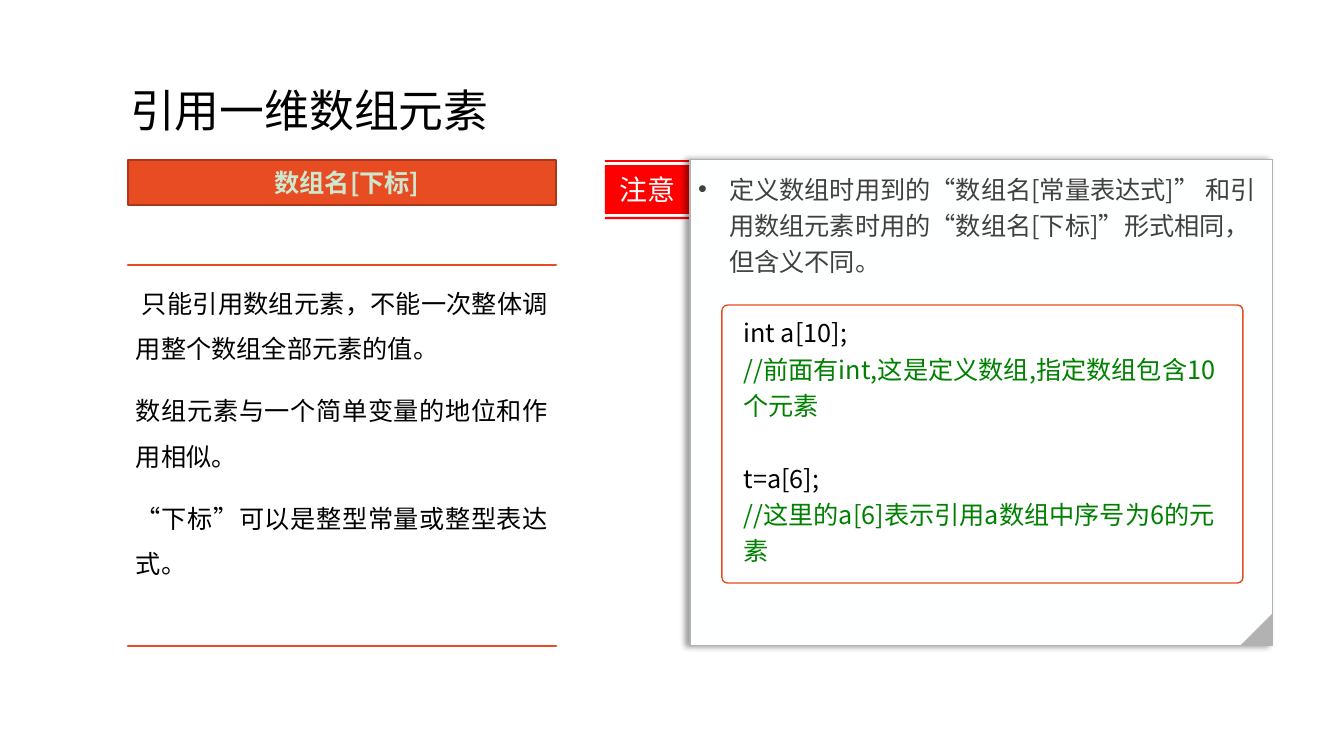
"""Build the slide on referencing one-dimensional array elements."""
from lxml import etree
from pptx import Presentation, util as u
from pptx.dml.color import RGBColor
from pptx.enum import shapes, text
from pptx.oxml import ns

PX = 914400 / 100.8
FONT = "Noto Sans CJK SC"
COLORS = {
    "page": "FFFFFF", "panel": "FEFFFF", "black": "000000", "body": "404040",
    "orange": "E84C22", "rust": "AC3819", "mint": "CCE8CF", "red": "FF0000",
    "grey": "B2B2B2", "green": "008000",
}
SHAPE = shapes.MSO_SHAPE
ALIGN = text.PP_ALIGN
ANCHOR = text.MSO_ANCHOR


def px(length):
    return u.Emu(round(length * PX))


def rgb(name):
    return RGBColor.from_string(COLORS[name])


def style(shape, fill=None, line=None, width=1):
    shape.shadow.inherit = False
    if fill:
        shape.fill.solid()
        shape.fill.fore_color.rgb = rgb(fill)
    else:
        shape.fill.background()
    if line:
        shape.line.color.rgb = rgb(line)
        shape.line.width = u.Pt(width)
    else:
        shape.line.fill.background()
    return shape


def add_box(page, kind, place, fill, line=None, width=1):
    box = page.shapes.add_shape(kind, *map(px, place))
    return style(box, fill, line, width)


def add_outline(page, contours):
    builder = None
    for start, *rest in contours:
        if builder is None:
            builder = page.shapes.build_freeform(*start, scale=PX)
        else:
            builder.move_to(*start)
        builder.add_line_segments(rest, close=True)
    return builder.convert_to_shape()


def set_frame(shape, insets=(10, 5, 10, 5), anchor=ANCHOR.TOP):
    frame = shape.text_frame
    frame.word_wrap = True
    frame.auto_size = text.MSO_AUTO_SIZE.NONE
    frame.vertical_anchor = anchor
    (frame.margin_left, frame.margin_top,
     frame.margin_right, frame.margin_bottom) = map(px, insets)
    return frame


def write(frame, lines, size, align=ALIGN.LEFT, spacing=1.0, before=0, after=0, bold=False):
    for index, (words, color) in enumerate(lines):
        para = frame.add_paragraph() if index else frame.paragraphs[0]
        para.alignment = align
        para.line_spacing = spacing
        para.space_before, para.space_after = u.Pt(before), u.Pt(after)
        span = para.add_run()
        span.text = words
        span.font.name = FONT
        span.font.size = u.Pt(size)
        span.font.bold = bold
        span.font.color.rgb = rgb(color)
        east = etree.SubElement(span.font._element, ns.qn("a:ea"))
        east.set("typeface", FONT)
    return frame.paragraphs


def add_bullet(para, indent):
    props = para._p.get_or_add_pPr()
    props.set("marL", str(px(indent)))
    props.set("indent", str(-px(indent)))
    etree.SubElement(props, ns.qn("a:buFont")).set("typeface", "Arial")
    etree.SubElement(props, ns.qn("a:buChar")).set("char", "•")


def add_shadow(shape, blur, distance, angle, opacity):
    effects = shape._element.spPr.find(ns.qn("a:effectLst"))
    shadow = etree.SubElement(
        effects, ns.qn("a:outerShdw"), blurRad=str(u.Pt(blur)),
        dist=str(u.Pt(distance)), dir=str(angle * 60000), rotWithShape="0")
    color = etree.SubElement(shadow, ns.qn("a:srgbClr"), val=COLORS["black"])
    etree.SubElement(color, ns.qn("a:alpha"), val=str(opacity * 1000))


def add_title(page):
    title = page.shapes.title
    title.left, title.top, title.width, title.height = map(px, (120, 40, 653, 146))
    frame = set_frame(title, anchor=ANCHOR.MIDDLE)
    write(frame, [("引用一维数组元素", "black")], 32, spacing=0.9)


def add_syntax(page):
    header = add_box(page, SHAPE.RECTANGLE, (128, 160, 428, 45), "orange", "rust")
    frame = set_frame(header, (20, 5, 10, 5), ANCHOR.MIDDLE)
    write(frame, [("数组名[下标]", "mint")], 18, ALIGN.CENTER, bold=True)


def add_rules(page):
    left, right = 128, 556
    rules = add_outline(page, [[(left, y), (right, y), (left, y)] for y in (646, 265)])
    style(rules, line="orange", width=2)
    points = (
        " 只能引用数组元素，不能一次整体调用整个数组全部元素的值。",
        "数组元素与一个简单变量的地位和作用相似。",
        "“下标”可以是整型常量或整型表达式。",
    )
    write(set_frame(rules, (8, 8, 8, 8)), [(point, "black") for point in points],
          18, ALIGN.JUSTIFY, 1.5, 6, 6)


def add_notice(page):
    left, right = 605, 690
    bands = ((217, 219), (165, 214), (160, 162))
    label = add_outline(page, [
        [(left, top), (right, top), (right, bottom), (left, bottom)]
        for top, bottom in bands])
    style(label, "red")
    write(set_frame(label, anchor=ANCHOR.MIDDLE), [("注意", "panel")], 20, ALIGN.CENTER)

    panel = add_box(page, SHAPE.RECTANGLE, (690, 160, 583, 486), "panel", "grey", 0.75)
    add_shadow(panel, 4, 3, 180, 40)
    note = ("定义数组时用到的“数组名[常量表达式]” 和引用数组元素时用的"
            "“数组名[下标]”形式相同，但含义不同。")
    paras = write(set_frame(panel, (8, 8, 8, 8)), [(note, "body")], 18,
                  spacing=1.2, after=6)
    add_bullet(paras[0], 31)

    fold = add_box(page, SHAPE.RIGHT_TRIANGLE, (1240, 613, 33, 33), "grey")
    fold.rotation = 270


def add_code(page):
    code = add_box(page, SHAPE.ROUNDED_RECTANGLE, (722, 305, 521, 278), "page", "orange")
    code.adjustments[0] = 0.02
    lines = [
        ("int a[10];", "black"),
        ("//前面有int,这是定义数组,指定数组包含10个元素", "green"),
        ("t=a[6];", "black"),
        ("//这里的a[6]表示引用a数组中序号为6的元素", "green"),
    ]
    paras = write(set_frame(code, (20, 5, 10, 5)), lines, 18, spacing=1.2)
    paras[2].space_before = u.Pt(26)


def main():
    deck = Presentation()
    deck.slide_width, deck.slide_height = px(1344), px(756)
    page = deck.slides.add_slide(deck.slide_layouts[5])
    page.background.fill.solid()
    page.background.fill.fore_color.rgb = rgb("page")
    add_title(page)
    add_syntax(page)
    add_rules(page)
    add_notice(page)
    add_code(page)
    deck.save("out.pptx")


if __name__ == "__main__":
    main()
